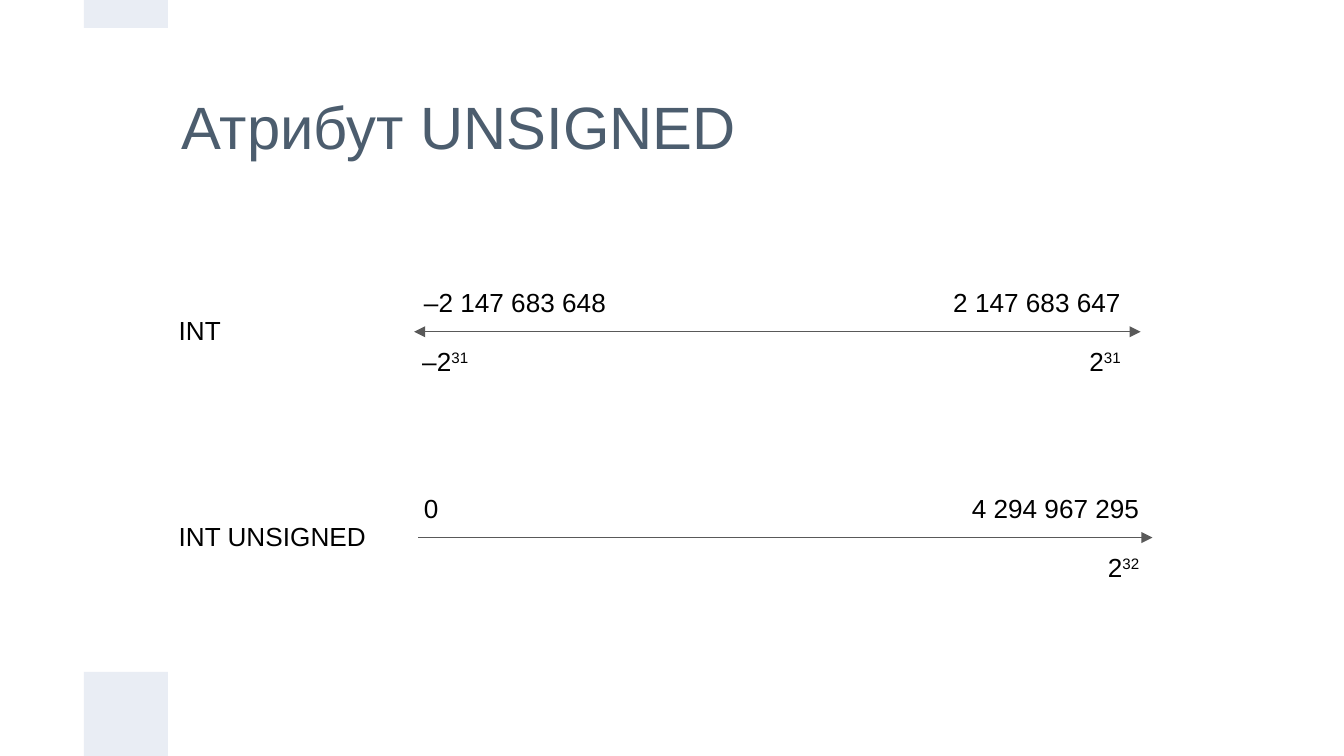
from lxml.etree import SubElement
from pptx import Presentation
from pptx.dml.color import RGBColor
from pptx.enum.shapes import MSO_CONNECTOR as Link, MSO_SHAPE as Shape
from pptx.enum.text import MSO_ANCHOR as Anchor, PP_ALIGN as Align
from pptx.oxml.ns import qn
from pptx.util import Inches, Pt

COLS, ROWS = 16, 9
CELL = Inches(10) // COLS
NUM_W, POW_W, BOX_H = 2.65, 1, 0.72
INK, GREY, SLATE, PALE = "000000", "595959", "4C5D6E", "E9EDF4"


def grid(*cells):
    """Turn grid counts into lengths."""
    return [round(n * CELL) for n in cells]


def paint(color, code):
    """Set a colour from a hex string."""
    color.rgb = RGBColor.from_string(code)


def block(slide, *cells):
    """Draw a plain filled rectangle."""
    shape = slide.shapes.add_shape(Shape.RECTANGLE, *grid(*cells))
    shape.shadow.inherit = False
    shape.fill.solid()
    paint(shape.fill.fore_color, PALE)
    shape.line.fill.background()


def label(slide, cells, text, power="", align=Align.LEFT, size=14, code=INK):
    """Write a line of text with an optional power."""
    frame = slide.shapes.add_textbox(*grid(*cells)).text_frame
    frame.word_wrap = True
    frame.margin_left = frame.margin_right = Inches(0.1)
    frame.margin_top = frame.margin_bottom = Inches(0.1)
    para = frame.paragraphs[0]
    para.alignment = align
    para.font.name, para.font.size = "Arial", Pt(size)
    paint(para.font.color, code)
    para.add_run().text = text
    if power:
        run = para.add_run()
        run.text = power
        run._r.get_or_add_rPr().set("baseline", "30000")
    return frame


def arrow(slide, start, end, row):
    """Draw a level arrow."""
    line = slide.shapes.add_connector(Link.STRAIGHT, *grid(start, row, end, row))
    line.line.width = Pt(0.75)
    paint(line.line.color, GREY)
    SubElement(line.line._get_or_add_ln(), qn("a:tailEnd"), type="triangle")
    SubElement(line._element.spPr, qn("a:effectLst"))


def span(slide, row, name, low, high, edge, power):
    """Label a number range around its axis."""
    top = row - 0.7
    label(slide, (1.97, row - 0.37, 3.07, BOX_H), name)
    label(slide, (4.89, top, NUM_W, BOX_H), low)
    label(slide, (edge - NUM_W, top, NUM_W, BOX_H), high, align=Align.RIGHT)
    label(slide, (edge - POW_W, row, POW_W, BOX_H), "2", power, Align.RIGHT)


def main():
    """Build the slide."""
    deck = Presentation()
    deck.slide_width, deck.slide_height = grid(COLS, ROWS)
    slide = deck.slides.add_slide(deck.slide_layouts[6])
    title = label(slide, (2, 0.5, 12, 2), "Атрибут UNSIGNED", size=32, code=SLATE)
    title.vertical_anchor = Anchor.MIDDLE
    block(slide, 1, 8, 1, 1)
    block(slide, 1, 0, 1, 1 / 3)

    signed, plain = 3.95, 6.4
    span(slide, signed, "INT", "–2 147 683 648", "2 147 683 647", 13.5, "31")
    label(slide, (4.87, signed, POW_W, BOX_H), "–2", "31")
    for end in (4.93, 13.58):
        arrow(slide, 9.25, end, signed)
    span(slide, plain, "INT UNSIGNED", "0", "4 294 967 295", 13.72, "32")
    arrow(slide, 4.98, 13.72, plain)
    deck.save("out.pptx")


if __name__ == "__main__":
    main()
